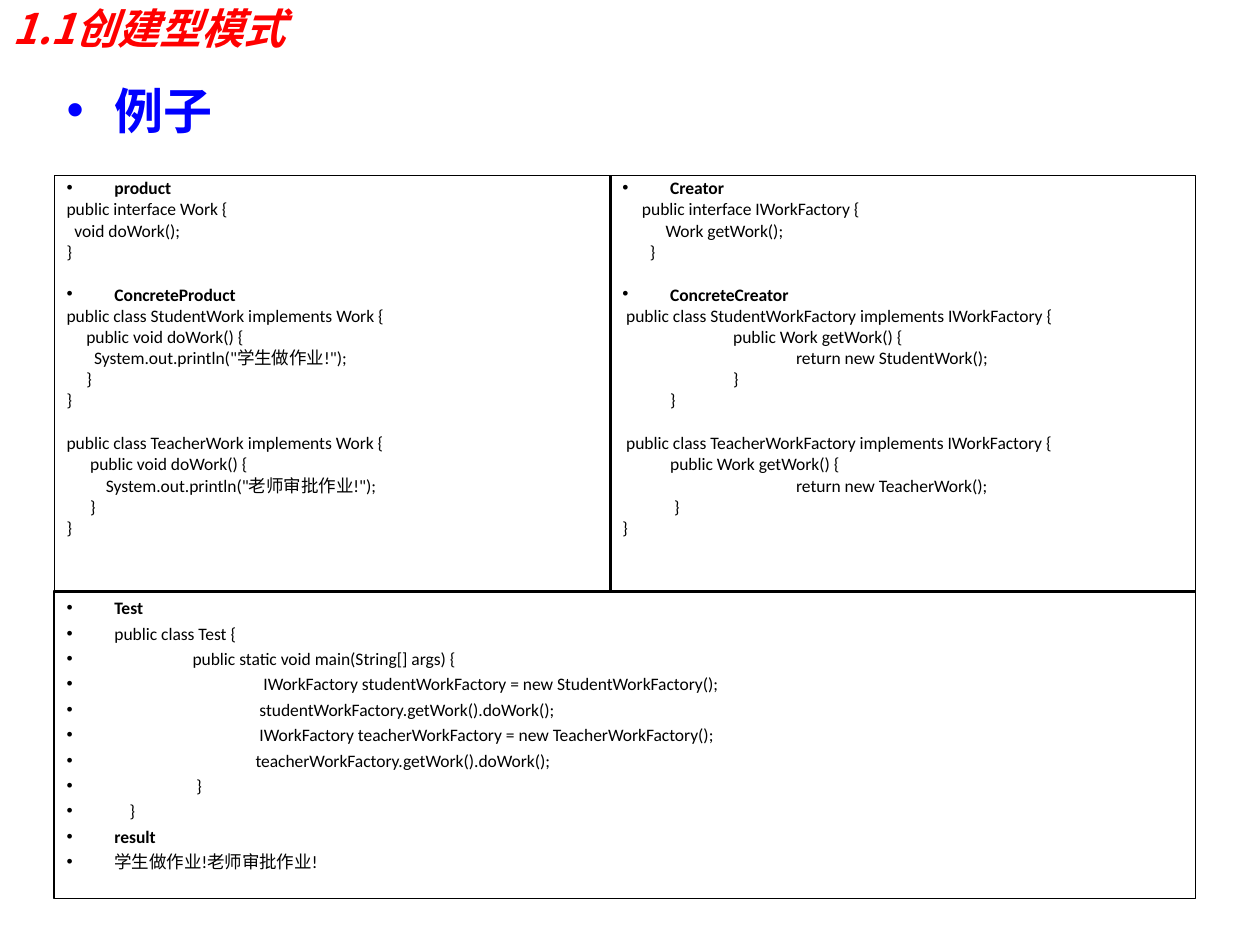
from dataclasses import dataclass

from lxml.etree import SubElement
from pptx import Presentation
from pptx.dml.color import RGBColor
from pptx.enum.shapes import MSO_SHAPE
from pptx.enum.text import MSO_ANCHOR, PP_ALIGN
from pptx.oxml.ns import qn
from pptx.util import Inches, Pt

BLACK = RGBColor(0, 0, 0)
BLUE = RGBColor(0, 0, 255)
RED = RGBColor(255, 0, 0)
LATIN = "Calibri"
HAN = "Noto Sans CJK SC"
HEADS = {"product", "ConcreteProduct", "Creator", "ConcreteCreator", "Test", "result"}
STEP = 2.5  # points before a line
SKIP = 12.3  # further points where a group of code begins


@dataclass
class Panel:
    left: float
    top: float
    width: float
    height: float
    lines: list[str]
    pitch: float = 0.8
    dots: bool = False  # a bullet on every line, not on heads only


PANELS = [
    Panel(0.43, 1.39, 4.42, 3.31, [
        "product",
        "public interface Work {",
        "  void doWork();",
        "}",
        "",
        "ConcreteProduct",
        "public class StudentWork implements Work {",
        "     public void doWork() {",
        '       System.out.println("学生做作业!");',
        "     }",
        "}",
        "",
        "public class TeacherWork implements Work {",
        "      public void doWork() {",
        '          System.out.println("老师审批作业!");',
        "      }",
        "}",
    ]),
    Panel(4.84, 1.39, 4.65, 3.31, [
        "Creator",
        "     public interface IWorkFactory {",
        "           Work getWork();",
        "       }",
        "",
        "ConcreteCreator",
        " public class StudentWorkFactory implements IWorkFactory {",
        "       \t\tpublic Work getWork() {",
        " \t\t\treturn new StudentWork();",
        "\t \t}",
        "\t}",
        "",
        " public class TeacherWorkFactory implements IWorkFactory {",
        "\tpublic Work getWork() {",
        "\t\t\treturn new TeacherWork();",
        "\t }",
        "}",
    ]),
    Panel(0.43, 4.69, 9.06, 2.44, [
        "Test",
        "public class Test {",
        "          \tpublic static void main(String[] args) {",
        "\t\t\t  IWorkFactory studentWorkFactory = new StudentWorkFactory();",
        "\t\t\t studentWorkFactory.getWork().doWork();",
        "\t\t\t IWorkFactory teacherWorkFactory = new TeacherWorkFactory();",
        "\t\t\tteacherWorkFactory.getWork().doWork();",
        "\t\t }",
        "\t}",
        "result",
        "学生做作业!老师审批作业!",
    ], pitch=1.0, dots=True),
]


def set_frame(frame, anchor=MSO_ANCHOR.TOP) -> None:
    frame.word_wrap = True
    frame.vertical_anchor = anchor
    frame.margin_left = frame.margin_right = Inches(0.1)
    frame.margin_top = frame.margin_bottom = Inches(0.05)


def add_run(para, text: str, size: float, color: RGBColor, bold: bool,
            face: str = LATIN, slant: bool = False) -> None:
    run = para.add_run()
    run.text = text
    font = run.font
    font.size, font.bold, font.italic, font.name = Pt(size), bold, slant, face
    font.color.rgb = color
    SubElement(font._element, qn("a:ea"), typeface=HAN)


def set_indent(para, color: RGBColor, dot: bool) -> None:
    """Give a hanging indent, half-inch tabs and, if asked, a bullet."""
    props = para._p.get_or_add_pPr()
    props.set("marL", str(Inches(0.38)))
    props.set("indent", str(-Inches(0.38)))
    if dot:
        tint = SubElement(props, qn("a:buClr"))
        SubElement(tint, qn("a:srgbClr"), val=str(color))
        SubElement(props, qn("a:buFont"), typeface="Arial")
        SubElement(props, qn("a:buChar"), char="•")
    else:
        SubElement(props, qn("a:buNone"))
    tabs = SubElement(props, qn("a:tabLst"))
    first = 1 if dot else 0
    for stop in range(first, first + 8):
        SubElement(tabs, qn("a:tab"), pos=str(Inches(stop / 2)), algn="l")


def draw_panel(slide, panel: Panel) -> None:
    box = slide.shapes.add_shape(
        MSO_SHAPE.RECTANGLE, Inches(panel.left), Inches(panel.top),
        Inches(panel.width), Inches(panel.height))
    box.shadow.inherit = False
    box.fill.background()
    box.line.color.rgb = BLACK
    box.line.width = Pt(0.75)
    frame = box.text_frame
    set_frame(frame)
    para, space = frame.paragraphs[0], 0
    for line in panel.lines:
        if not line:
            space += SKIP
            continue
        if para is None:
            para = frame.add_paragraph()
        head = line in HEADS
        set_indent(para, BLACK, panel.dots or head)
        para.alignment = PP_ALIGN.LEFT
        para.line_spacing = panel.pitch
        para.space_before = Pt(space)
        add_run(para, line, 10, BLACK, head)
        para, space = None, STEP


def draw_title(slide) -> None:
    box = slide.shapes.add_textbox(0, 0, Inches(9), Inches(0.44))
    set_frame(box.text_frame, MSO_ANCHOR.MIDDLE)
    add_run(box.text_frame.paragraphs[0], "1.1创建型模式", 24, RED, True, HAN, True)


def draw_topic(slide) -> None:
    box = slide.shapes.add_textbox(
        Inches(0.43), Inches(0.68), Inches(1.75), Inches(1.04))
    set_frame(box.text_frame)
    para = box.text_frame.paragraphs[0]
    set_indent(para, BLUE, True)
    para.line_spacing = 0.8
    add_run(para, "例子", 28, BLUE, True)


def main() -> None:
    deck = Presentation()
    deck.slide_width, deck.slide_height = Inches(10), Inches(7.5)
    slide = deck.slides.add_slide(deck.slide_layouts[6])
    draw_title(slide)
    draw_topic(slide)
    for panel in PANELS:
        draw_panel(slide, panel)
    deck.save("out.pptx")


if __name__ == "__main__":
    main()
